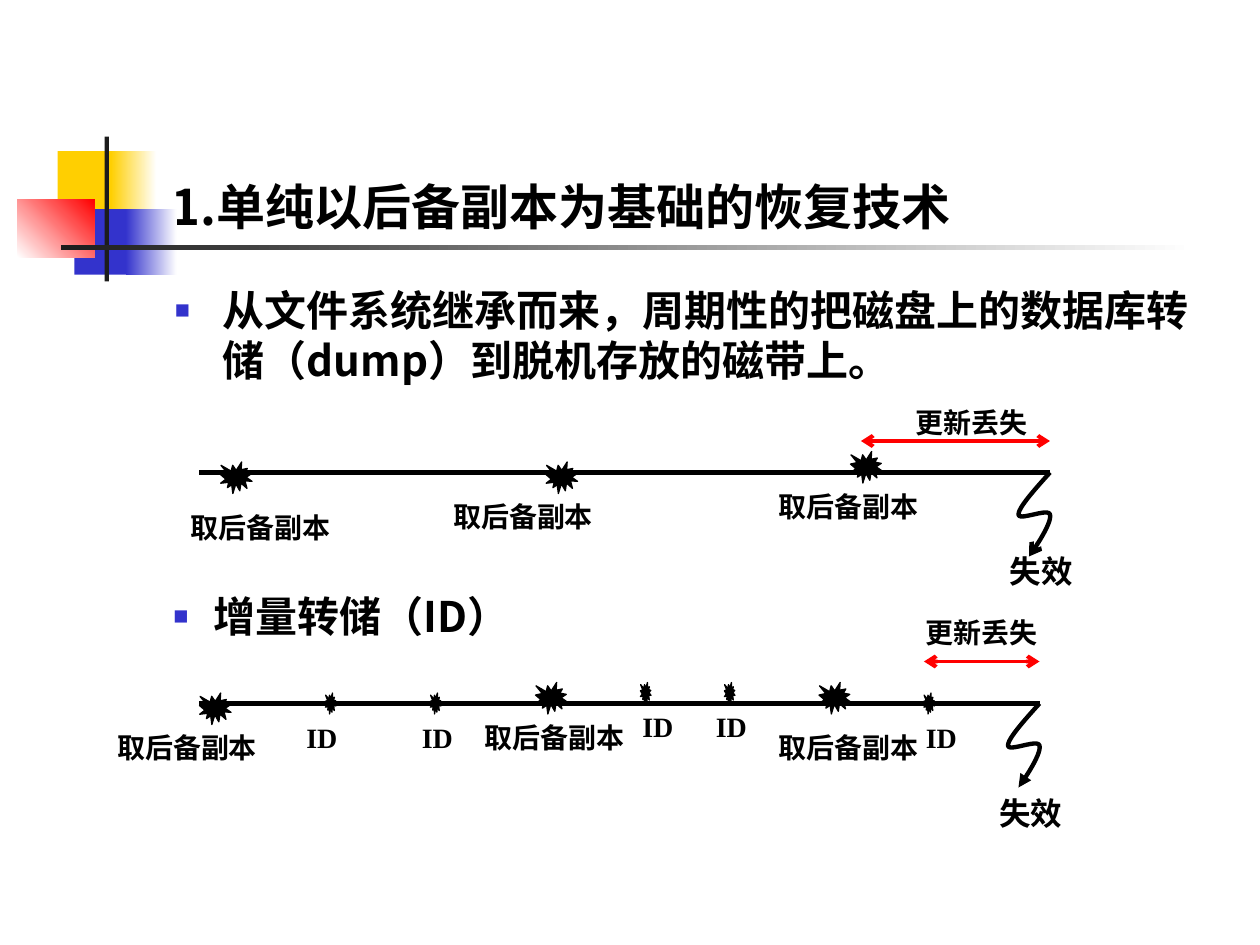
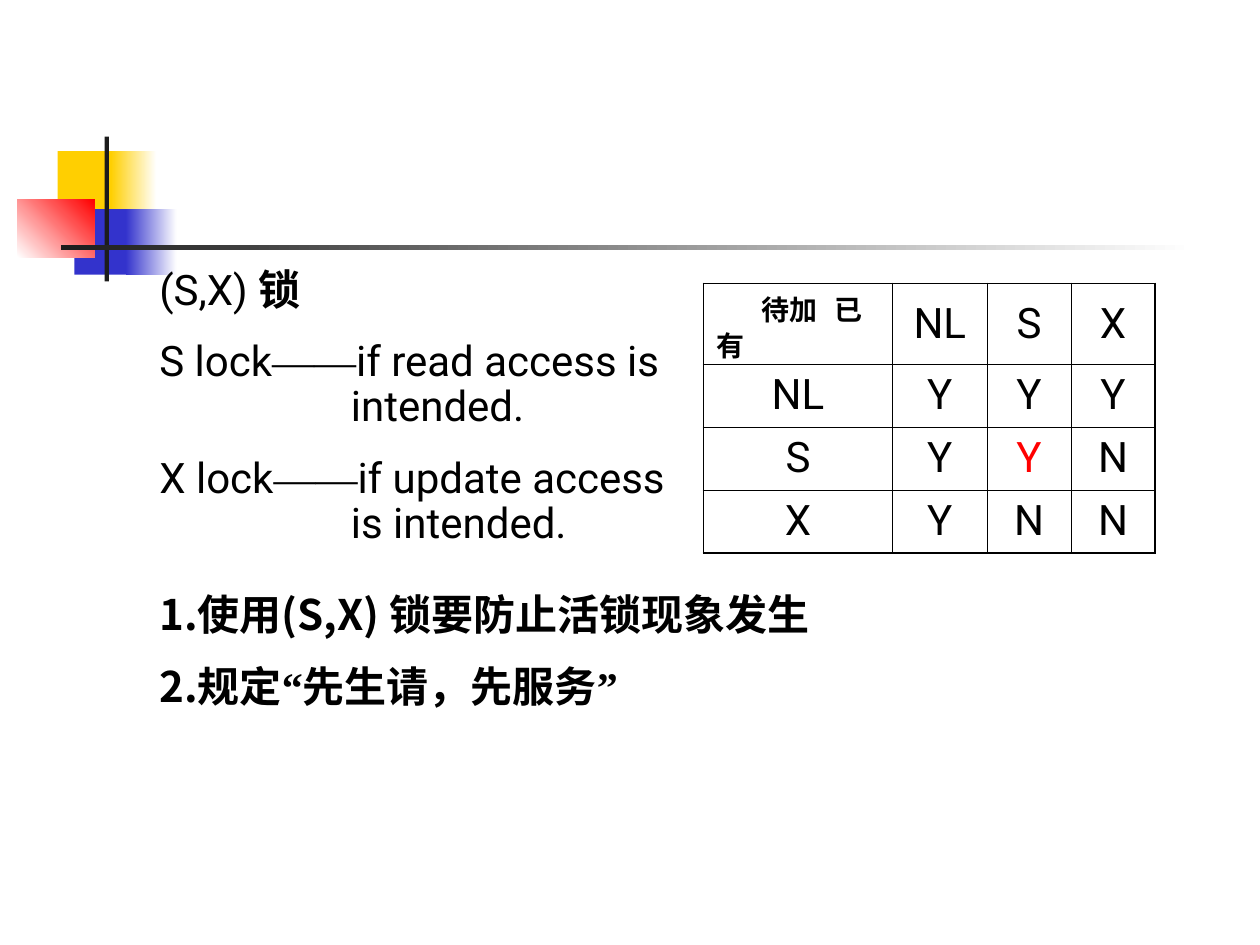
"""Build two slides on database backup recovery and on (S,X) locks."""
import pptx
import pptx.util
import pptx.dml.color
import pptx.enum.shapes
import pptx.enum.text
import pptx.oxml
import pptx.oxml.ns
from lxml import etree

Pt = pptx.util.Pt
qn = pptx.oxml.ns.qn
RGB = pptx.dml.color.RGBColor.from_string
SHAPE = pptx.enum.shapes.MSO_SHAPE
ANCHOR = pptx.enum.text.MSO_ANCHOR
ALIGN = pptx.enum.text.PP_ALIGN
FIT = pptx.enum.text.MSO_AUTO_SIZE
COLORS = {"black": "000000", "white": "FFFFFF", "red": "FF0000",
          "yellow": "FFCF01", "blue": "3333CC", "bar": "1C1C1C"}
CJK, SANS, SERIF = "Noto Sans CJK SC", "Roboto", "Times New Roman"


def add_run(p, text, size, font=CJK, bold=True, color="black"):
    r = p.add_run()
    r.text = text
    r.font.size, r.font.bold, r.font.name = Pt(size), bold, font
    r.font.color.rgb = RGB(COLORS[color])
    etree.SubElement(r._r.get_or_add_rPr(), qn("a:ea"), typeface=font)


def add_box(s, left, top, width, height):
    tf = s.shapes.add_textbox(Pt(left), Pt(top), Pt(width), Pt(height)).text_frame
    tf.word_wrap = True
    tf.auto_size = FIT.SHAPE_TO_FIT_TEXT
    return tf


prs = pptx.Presentation()
prs.slide_width, prs.slide_height = Pt(720), Pt(540)
backup = prs.slides.add_slide(prs.slide_layouts[5])
locks = prs.slides.add_slide(prs.slide_layouts[6])

blocks = [
    (33, 86.4, 34.5, 37.5, ["yellow"], 0),
    (63.4, 86.4, 26, 37.5, ["yellow", "white"], 0),
    (42.5, 119.5, 33, 37.5, ["blue"], 0),
    (72, 119.5, 29, 37.5, ["blue", "white"], 0),
    (10, 113.8, 44, 33.2, ["white", "red"], 45),
    (59.8, 78, 2.4, 82.8, ["bar"], 0),
    (34.6, 140.2, 648, 2.4, ["bar", "white"], 0),
]
for s in (backup, locks):
    for left, top, width, height, shades, angle in blocks:
        sp = s.shapes.add_shape(SHAPE.RECTANGLE, Pt(left), Pt(top), Pt(width), Pt(height))
        sp.shadow.inherit = False
        sp.line.fill.background()
        if len(shades) == 1:
            sp.fill.solid()
            sp.fill.fore_color.rgb = RGB(COLORS[shades[0]])
        else:
            sp.fill.gradient()
            sp.fill.gradient_angle = angle
            for stop, shade in zip(sp.fill.gradient_stops, shades):
                stop.color.rgb = RGB(COLORS[shade])

s = backup
title = s.shapes.title
title.left, title.top, title.width, title.height = Pt(90.7), Pt(48.2), Pt(613.5), Pt(90)
tf = title.text_frame
tf.auto_size = FIT.NONE
tf.vertical_anchor = ANCHOR.BOTTOM
p = tf.paragraphs[0]
p.alignment = ALIGN.LEFT
add_run(p, "1.单纯以后备副本为基础的恢复技术", 28)

bullets = [
    (92.9, 159, 612, 77, 27.4, "从文件系统继承而来，周期性的把磁盘上的数据库转储（dump）到脱机存放的磁带上。"),
    (92, 334, 222, 36, 23, "增量转储（ID）"),
]
for left, top, width, height, hang, text in bullets:
    p = add_box(s, left, top, width, height).paragraphs[0]
    pPr = p._p.get_or_add_pPr()
    pPr.set("marL", str(Pt(hang)))
    pPr.set("indent", str(-Pt(hang)))
    color = etree.SubElement(pPr, qn("a:buClr"))
    etree.SubElement(color, qn("a:srgbClr"), val=COLORS["blue"])
    etree.SubElement(pPr, qn("a:buSzPct"), val="60000")
    etree.SubElement(pPr, qn("a:buFont"), typeface=SERIF)
    etree.SubElement(pPr, qn("a:buChar"), char="■")
    add_run(p, text, 24)

failure_curve = [
    [(0, 0), (-9, 10), (-18, 20), (-18, 24)],
    [(-18, 24), (-18, 28), (-1, 20), (0, 24)],
    [(0, 24), (1, 28), (-5, 38), (-12, 48)],
]
timelines = [(600, 270, 492, 252, "arrow"), (594, 402, 528, 378, "triangle")]
for end, y, loss_start, loss_y, tip in timelines:
    lines = []
    for start, line_y, color, weight, tips in (
            (114, y, "black", 3, {}),
            (loss_start, loss_y, "red", 2.25, {"headEnd": "arrow", "tailEnd": "arrow"})):
        sp = s.shapes.add_connector(pptx.enum.shapes.MSO_CONNECTOR.STRAIGHT,
                                    Pt(start), Pt(line_y), Pt(end), Pt(line_y))
        lines.append((sp, color, weight, tips))
    points = []
    for a, b, c, d in failure_curve:
        for step in range(1, 13):
            t = step / 12
            u = 1 - t
            dx, dy = (u**3 * a[i] + 3 * u * u * t * b[i] + 3 * u * t * t * c[i] + t**3 * d[i]
                      for i in (0, 1))
            points.append((Pt(end + dx), Pt(y + dy)))
    builder = s.shapes.build_freeform(Pt(end), Pt(y))
    builder.add_line_segments(points, close=False)
    sp = builder.convert_to_shape()
    sp.fill.background()
    lines.append((sp, "black", 2.5, {"tailEnd": tip}))
    for sp, color, weight, tips in lines:
        sp.line.color.rgb = RGB(COLORS[color])
        sp.line.width = Pt(weight)
        spPr = sp._element.spPr
        for tag, kind in tips.items():
            etree.SubElement(spPr.find(qn("a:ln")), qn("a:" + tag), type=kind)
        etree.SubElement(spPr, qn("a:effectLst"))

full_dumps = [(126, 264), (312, 264), (486, 258), (114, 396), (306, 390), (468, 390)]
increments = [(186, 396), (246, 396), (366, 390), (414, 390), (528, 396)]
for spots, width, height in ((full_dumps, 18, 18), (increments, 6, 12)):
    for left, top in spots:
        sp = s.shapes.add_shape(SHAPE.EXPLOSION1, Pt(left), Pt(top), Pt(width), Pt(height))
        sp.shadow.inherit = False
        sp.fill.solid()
        sp.fill.fore_color.rgb = sp.line.color.rgb = RGB(COLORS["black"])
        sp.line.width = Pt(0.75)

labels = [
    ("取后备副本", 102, 16, CJK,
     [(102, 288), (252, 282), (438, 276), (60, 414), (270, 408), (438, 414)]),
    ("更新丢失", 102, 16, CJK, [(516, 228), (522, 348)]),
    ("ID", 36, 16, SERIF, [(168, 408), (234, 408), (360, 402), (402, 402), (522, 408)]),
    ("失效", 54, 18, CJK, [(570, 312), (564, 450)]),
]
for text, width, size, font, spots in labels:
    for left, top in spots:
        add_run(add_box(s, left, top, width, 27).paragraphs[0], text, size, font)

s = locks
lock_rules = [
    [("(S,X) ", SANS, False), ("锁", CJK, True)],
    [("S lock", SANS, False), ("——", SERIF, False), ("if read access is intended.", SANS, False)],
    [("X lock", SANS, False), ("——", SERIF, False), ("if update access is intended.", SANS, False)],
]
notes = [
    [("1.使用(S,X) 锁要防止活锁现象发生", CJK, True)],
    [("2.规定", CJK, True), ("“", SERIF, True), ("先生请，先服务", CJK, True), ("”", SERIF, True)],
]
for paragraphs, top, width, height, hang in ((lock_rules, 150, 318, 167, 109.5),
                                             (notes, 336, 456, 74, 0)):
    tf = add_box(s, 84, top, width, height)
    for i, runs in enumerate(paragraphs):
        p = tf.add_paragraph() if i else tf.paragraphs[0]
        p.line_spacing = 0.9
        if i:
            p.space_before = Pt(15)
        pPr = p._p.get_or_add_pPr()
        pPr.set("marL", str(Pt(hang)))
        pPr.set("indent", str(-Pt(hang)))
        for text, font, bold in runs:
            add_run(p, text, 24, font, bold)

matrix = [
    ["待加\t已有", "NL", "S", "X"],
    ["NL", "Y", "Y", "Y"],
    ["S", "Y", "Y", "N"],
    ["X", "Y", "N", "N"],
]
table = s.shapes.add_table(4, 4, Pt(402), Pt(162), Pt(258), Pt(154)).table
table.first_row = table.horz_banding = False
for column, width in zip(table.columns, (108, 54, 48, 48)):
    column.width = Pt(width)
for row, height in zip(table.rows, (46, 36, 36, 36)):
    row.height = Pt(height)
for i, row in enumerate(matrix):
    for j, text in enumerate(row):
        cell = table.cell(i, j)
        tcPr = cell._tc.get_or_add_tcPr()
        for side, outer in (("L", j == 0), ("R", j == 3), ("T", i == 0), ("B", i == 3)):
            ln = etree.SubElement(tcPr, qn("a:ln" + side), w=str(Pt(1.08 if outer else 0.45)))
            fill = etree.SubElement(ln, qn("a:solidFill"))
            etree.SubElement(fill, qn("a:srgbClr"), val=COLORS["black"])
        cell.fill.background()
        cell.vertical_anchor = ANCHOR.TOP if i and j == 0 else ANCHOR.MIDDLE
        p = cell.text_frame.paragraphs[0]
        if i == j == 0:
            cell.margin_top, cell.margin_bottom = Pt(5), Pt(0)
            p.line_spacing = Pt(20.5)
            pPr = p._p.get_or_add_pPr()
            pPr.set("indent", str(Pt(26)))
            tabs = etree.SubElement(pPr, qn("a:tabLst"))
            etree.SubElement(tabs, qn("a:tab"), pos=str(Pt(76)), algn="l")
            add_run(p, text, 16)
        else:
            p.alignment = ALIGN.CENTER
            add_run(p, text, 24, SANS, False, "red" if i == j == 2 else "black")

prs.save("out.pptx")
